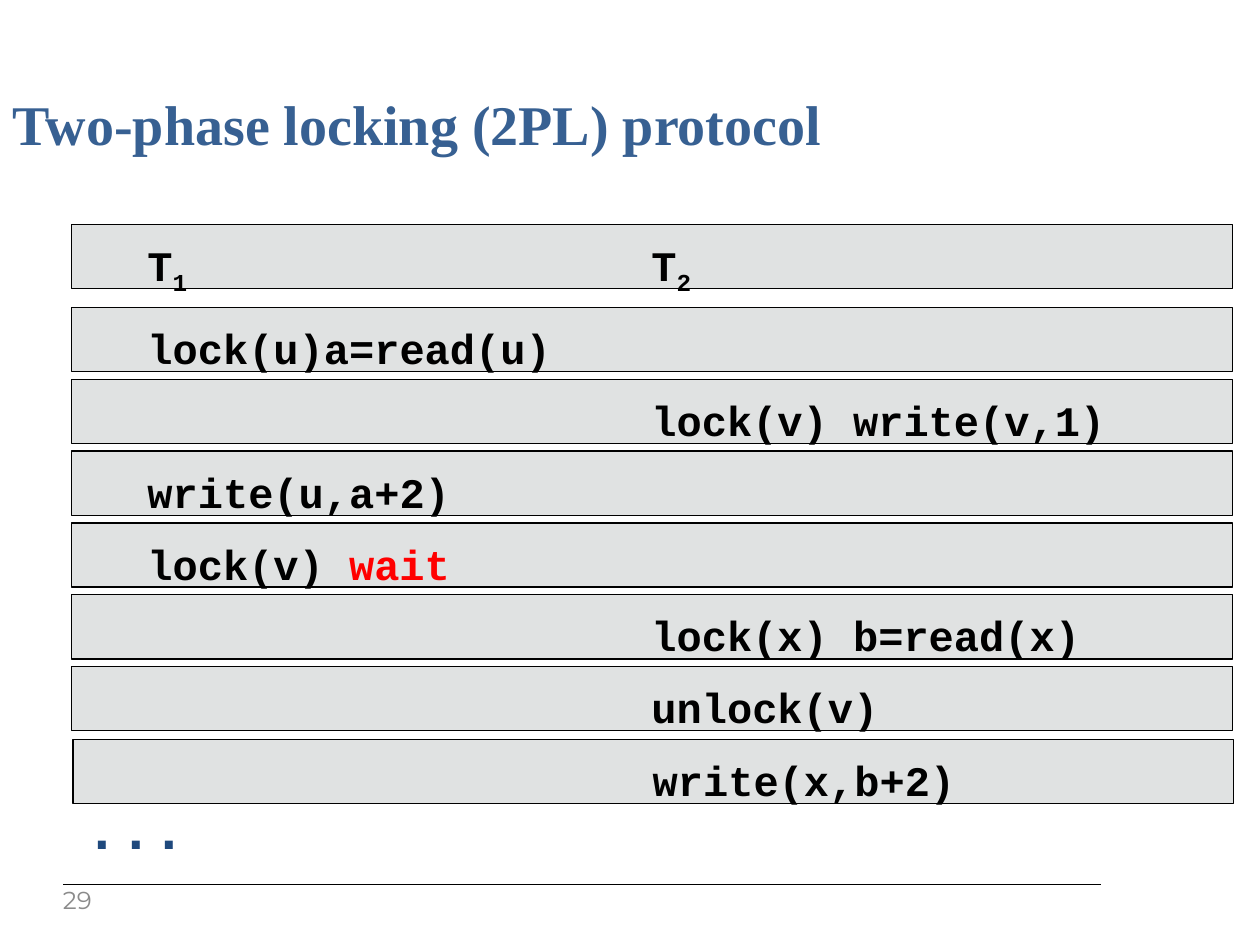
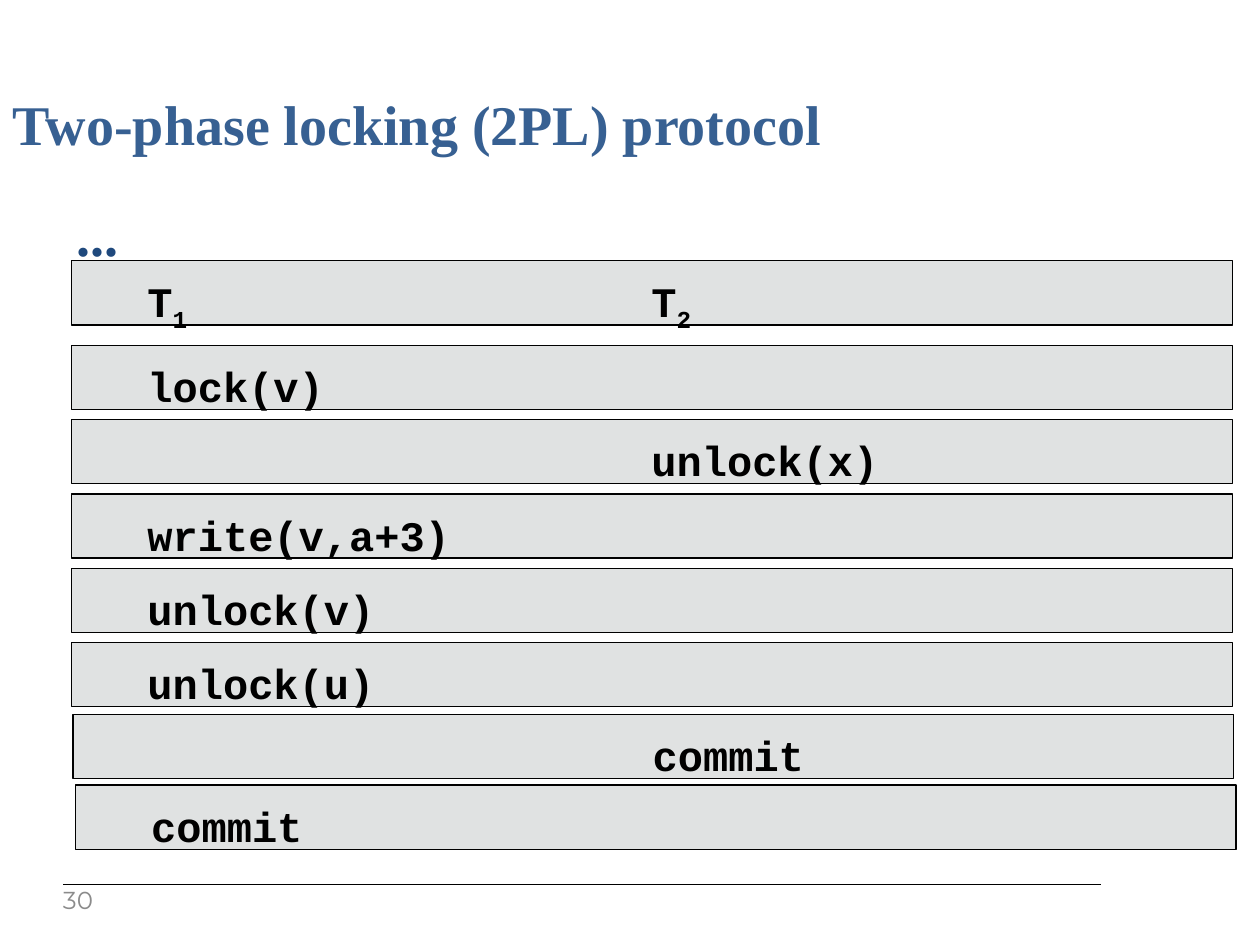
from lxml import etree
from pptx import Presentation
from pptx.dml.color import RGBColor
from pptx.enum.shapes import MSO_CONNECTOR, MSO_SHAPE
from pptx.enum.text import MSO_ANCHOR, MSO_AUTO_SIZE, PP_ALIGN
from pptx.oxml.ns import qn
from pptx.util import Inches, Pt

BLACK = RGBColor(0x00, 0x00, 0x00)
RED = RGBColor(0xFF, 0x00, 0x00)
ROW_GREY = RGBColor(0xE0, 0xE2, 0xE2)
TITLE_BLUE = RGBColor(0x37, 0x60, 0x92)
DOTS_BLUE = RGBColor(0x1F, 0x49, 0x7D)
NUMBER_GREY = RGBColor(0x8B, 0x8B, 0x8B)
CODE, SERIF, SANS = "Courier New", "Times New Roman", "Montserrat"

TITLE = "Two-phase locking (2PL) protocol"
HEADER = ("T|1", "T|2")  # the part after the bar is a subscript
WAIT = "wait"            # shown in red

# Each block of the schedule: left, top, row pitch, rows of (T1 step, T2 step)
SLIDES = [
    {
        "number": "29",
        "dots": (0.58, 6.18, 1.01, CODE),
        "blocks": [
            (0.57, 1.78, 0, [HEADER]),
            (0.57, 2.44, 0.57, [
                ("lock(u)a=read(u)", ""),
                ("", "lock(v) write(v,1)"),
                ("write(u,a+2)", ""),
                ("lock(v) wait", ""),
                ("", "lock(x) b=read(x)"),
                ("", "unlock(v)"),
            ]),
            (0.58, 5.87, 0, [("", "write(x,b+2)")]),
        ],
    },
    {
        "number": "30",
        "dots": (0.51, 1.47, 0.54, SERIF),
        "blocks": [
            (0.57, 2.07, 0, [HEADER]),
            (0.57, 2.74, 0.59, [
                ("lock(v)", ""),
                ("", "unlock(x)"),
                ("write(v,a+3)", ""),
                ("unlock(v)", ""),
                ("unlock(u)", ""),
            ]),
            (0.58, 5.67, 0, [("", "commit")]),
            (0.60, 6.23, 0, [("commit", "")]),
        ],
    },
]

ROW_WIDTH, ROW_HEIGHT = 9.21, 0.51
STEP_INDENT, T2_TAB = 0.6, 4


def add_span(para, text, font_name, size, color, bold=True):
    span = para.add_run()
    span.text = text
    font = span.font
    font.name, font.size, font.bold = font_name, Pt(size), bold
    font.color.rgb = color
    return span


def set_frame(box, left, top, right, bottom, anchor=MSO_ANCHOR.TOP):
    """Set the insets and anchor of a box and return its first paragraph."""
    frame = box.text_frame
    frame.word_wrap = True
    frame.auto_size = MSO_AUTO_SIZE.NONE
    frame.vertical_anchor = anchor
    frame.margin_left, frame.margin_top = Inches(left), Inches(top)
    frame.margin_right, frame.margin_bottom = Inches(right), Inches(bottom)
    para = frame.paragraphs[0]
    para.alignment = PP_ALIGN.LEFT
    return para


def add_step(para, step):
    """Write one step, with its subscript or its red word."""
    base, _, subscript = step.partition("|")
    before, wait, _ = base.partition(WAIT)
    add_span(para, before, CODE, 24, BLACK)
    if wait:
        add_span(para, wait, CODE, 24, RED)
    if subscript:
        span = add_span(para, subscript, CODE, 24, BLACK)
        span._r.get_or_add_rPr().set("baseline", "-25000")


def add_row(page, left, top, steps):
    row = page.shapes.add_shape(MSO_SHAPE.RECTANGLE, Inches(left), Inches(top),
                                Inches(ROW_WIDTH), Inches(ROW_HEIGHT))
    row.shadow.inherit = False
    row.fill.solid()
    row.fill.fore_color.rgb = ROW_GREY
    row.line.color.rgb = BLACK
    row.line.width = Pt(0.75)
    para = set_frame(row, STEP_INDENT, 0.12, 0.1, 0)
    tabs = etree.SubElement(para._p.get_or_add_pPr(), qn("a:tabLst"))
    etree.SubElement(tabs, qn("a:tab"), pos=str(Inches(T2_TAB)), algn="l")
    first, second = steps
    if first:
        add_step(para, first)
    if second:
        add_span(para, "\t", CODE, 24, BLACK)
        add_step(para, second)


def add_frame(page, number):
    """Add what all slides share: title, footer line and slide number."""
    title = page.shapes.title
    title.left, title.top = Inches(0), Inches(0.62)
    title.width, title.height = Inches(10), Inches(0.67)
    add_span(set_frame(title, 0.1, 0.09, 0.1, 0.05), TITLE, SERIF, 32, TITLE_BLUE)

    rule = page.shapes.add_connector(MSO_CONNECTOR.STRAIGHT, Inches(0.5), Inches(7.02),
                                     Inches(8.74), Inches(7.02))
    rule.line.color.rgb = BLACK
    rule.line.width = Pt(0.75)
    etree.SubElement(rule._element.spPr, qn("a:effectLst"))

    box = page.shapes.add_textbox(Inches(0.5), Inches(7.06), Inches(0.4), Inches(0.21))
    para = set_frame(box, 0, 0, 0.1, 0.05, MSO_ANCHOR.MIDDLE)
    add_span(para, number, SANS, 14, NUMBER_GREY, bold=False)


def add_dots(page, left, top, width, font_name):
    box = page.shapes.add_textbox(Inches(left), Inches(top), Inches(width), Inches(0.64))
    add_span(set_frame(box, 0.1, 0.12, 0.1, 0), "...", font_name, 32, DOTS_BLUE)


def main():
    deck = Presentation()
    deck.slide_width, deck.slide_height = Inches(10), Inches(7.5)
    title_only = deck.slide_layouts[5]
    for content in SLIDES:
        page = deck.slides.add_slide(title_only)
        add_frame(page, content["number"])
        for left, top, pitch, rows in content["blocks"]:
            for index, steps in enumerate(rows):
                add_row(page, left, top + index * pitch, steps)
        add_dots(page, *content["dots"])
    deck.save("out.pptx")


if __name__ == "__main__":
    main()
